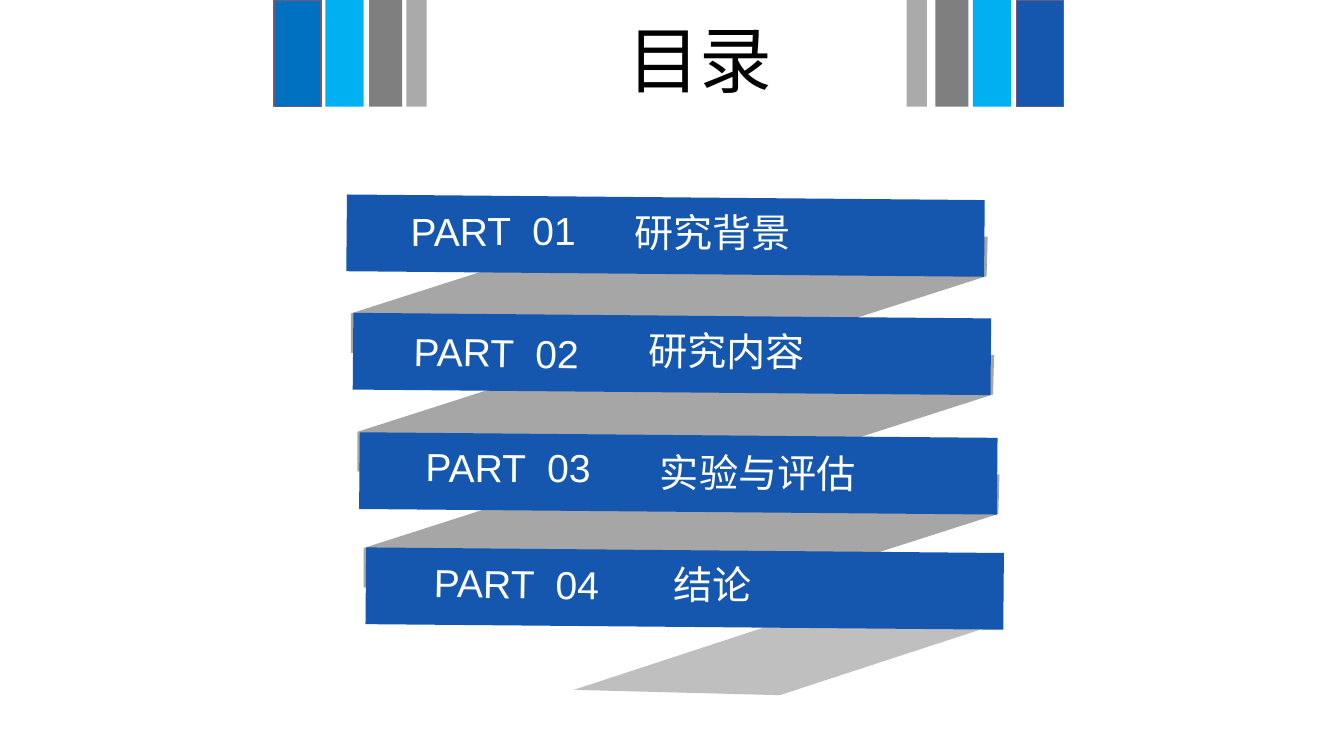
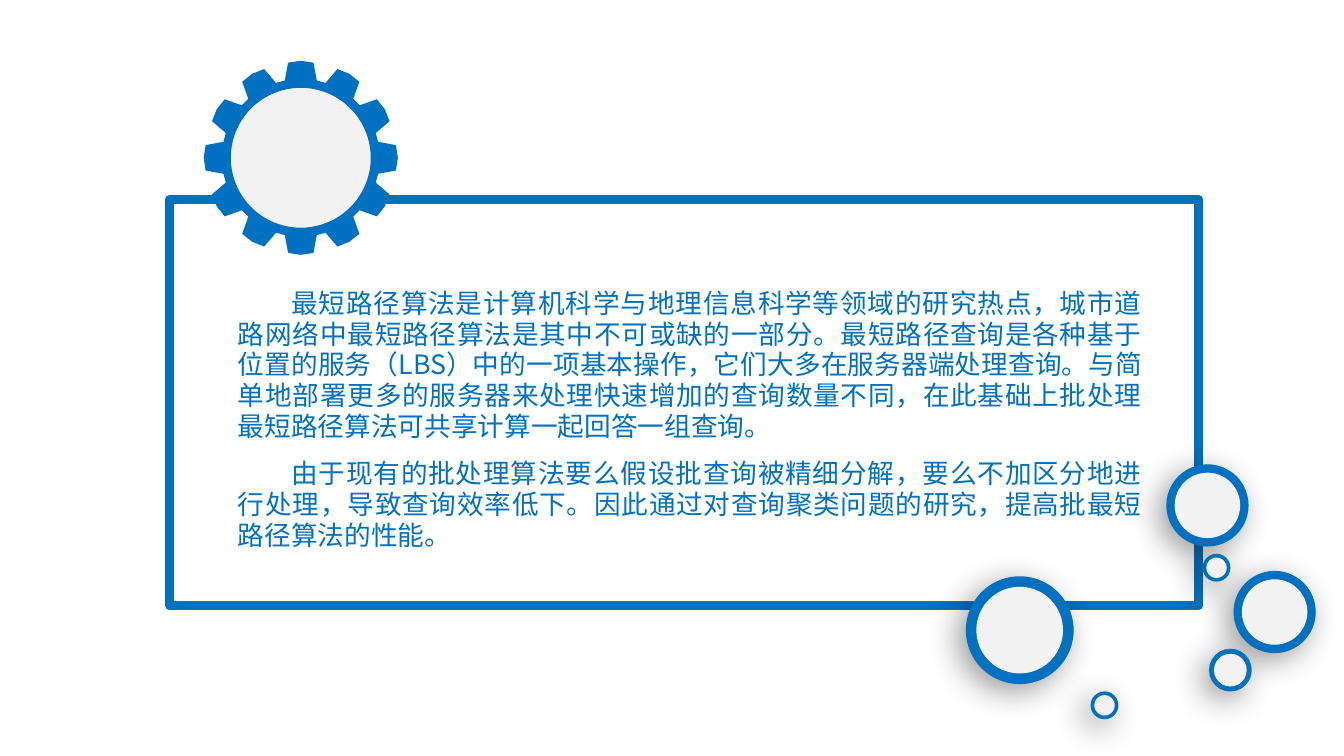
"""Build a contents slide and a research background slide."""
import math

from lxml import etree
from pptx import Presentation
from pptx import util as u
from pptx.dml.color import RGBColor
from pptx.enum import shapes, text
from pptx.oxml.ns import qn

CJK = "Noto Sans CJK SC"
LATIN = "Arial"
WHITE, BLACK, PALE = "FFFFFF", "000000", "F2F2F2"
BLUE, NAVY, SKY = "0070C0", "1557AE", "00B0F0"
GREY, SILVER, FOLD, TAIL = "7F7F7F", "AAAAAA", "A6A6A6", "BFBFBF"
MAUVE = "6C5B7B"

STRIPES = [
    (3.81, 8.5, 0.19, SILVER, SILVER, None),
    (3.46, 8.77, 0.31, GREY, GREY, None),
    (3.05, 9.12, 0.36, SKY, SKY, None),
    (2.57, 9.53, 0.44, BLUE, NAVY, MAUVE),
]
LEFT_FOLD = [(8.91, 2.21), (5.41, 3.33), (3.29, 3.31), (3.29, 2.94), (5.66, 2.18)]
RIGHT_FOLD = [(9.26, 2.22), (9.25, 2.59), (6.88, 3.35), (3.63, 3.32), (7.13, 2.2)]
FOLD_STEPS = [((0, 0), (0, 0)), ((0.06, 1.11), (0.06, 1.11)), ((0.12, 2.2), (0.11, 2.23))]
TAIL_FOLD = [(9.19, 5.22), (9.39, 5.84), (7.31, 6.52), (5.38, 6.47)]
PARTS = [
    (1.85, "PART  01", (3.75, 1.89), -0.4, "研究背景", (5.85, 1.91, 1.67), 0),
    (2.96, "PART  02", (3.78, 3.03), 0.9, "研究内容", (5.98, 3.02, 1.67), 0.5),
    (4.08, "PART  03", (3.89, 4.11), 0.4, "实验与评估", (6.09, 4.16, 2.2), 0.4),
    (5.16, "PART  04", (3.97, 5.2), 0.9, "结论", (6.22, 5.21, 0.94), 0.2),
]
BACKGROUND = [
    "最短路径算法是计算机科学与地理信息科学等领域的研究热点，城市道路网络中最短路径算法是其中不可或缺的一部分。"
    "最短路径查询是各种基于位置的服务（LBS）中的一项基本操作，它们大多在服务器端处理查询。"
    "与简单地部署更多的服务器来处理快速增加的查询数量不同，在此基础上批处理最短路径算法可共享计算一起回答一组查询。",
    "由于现有的批处理算法要么假设批查询被精细分解，要么不加区分地进行处理，导致查询效率低下。"
    "因此通过对查询聚类问题的研究，提高批最短路径算法的性能。",
]
BUBBLES = [
    (11.58, 5.37, 0.74), (11.35, 6.1, 0.37), (9.07, 5.42, 0.98),
    (10.24, 6.5, 0.23), (10.95, 4.37, 0.74), (11.29, 5.21, 0.23),
]


def rgb(colour):
    """Turn a hex string into a colour."""
    return RGBColor.from_string(colour)


def paint(shape, fill=None, line=None, width=1):
    """Set fill and line of a shape and take its shadow away."""
    shape.shadow.inherit = False
    if fill:
        shape.fill.solid()
        shape.fill.fore_color.rgb = rgb(fill)
    else:
        shape.fill.background()
    if line:
        shape.line.color.rgb = rgb(line)
        shape.line.width = u.Pt(width)
    else:
        shape.line.fill.background()
    return shape


def add_preset(slide, preset, box, fill=None, line=None, width=1):
    """Add a painted preset shape at left, top, width, height."""
    shape = slide.shapes.add_shape(preset, *map(u.Inches, box))
    return paint(shape, fill, line, width)


def add_outline(slide, points, fill):
    """Add a closed polygon through points given in inches."""
    corners = [(u.Inches(x), u.Inches(y)) for x, y in points]
    builder = slide.shapes.build_freeform(*corners[0])
    builder.add_line_segments(corners[1:], close=True)
    return paint(builder.convert_to_shape(), fill)


def style_runs(paragraph, size, font, colour):
    """Format every run of a paragraph, East Asian font included."""
    for run in paragraph.runs:
        run.font.size = u.Pt(size)
        run.font.color.rgb = rgb(colour)
        run.font.name = font
        etree.SubElement(run.font._element, qn("a:ea")).set("typeface", font)


def add_label(slide, wording, box, font, rotation):
    """Add a single white line of text on a bar."""
    label = slide.shapes.add_textbox(*map(u.Inches, box))
    label.rotation = rotation
    label.text_frame.word_wrap = False
    label.text_frame.text = wording
    style_runs(label.text_frame.paragraphs[0], 26.4, font, WHITE)


def set_title(slide, wording, box):
    """Place and format the title placeholder."""
    title = slide.shapes.title
    title.left, title.top, title.width, title.height = map(u.Inches, box)
    frame = title.text_frame
    frame.text = wording
    frame.word_wrap = False
    frame.auto_size = text.MSO_AUTO_SIZE.NONE
    frame.vertical_anchor = text.MSO_ANCHOR.MIDDLE
    frame.paragraphs[0].alignment = text.PP_ALIGN.CENTER
    style_runs(frame.paragraphs[0], 49.1, CJK, BLACK)


def add_stripes(slide):
    """Add the stripes on both sides of the title."""
    for left, right, width, left_fill, right_fill, edge in STRIPES:
        for x, fill in ((left, left_fill), (right, right_fill)):
            add_preset(slide, shapes.MSO_SHAPE.RECTANGLE, (x, 0, width, 1), fill, edge)


def add_ribbon(slide):
    """Add the folds, the bars and the labels of the contents ribbon."""
    add_outline(slide, TAIL_FOLD, TAIL)
    for steps in FOLD_STEPS:
        for fold, (dx, dy) in zip((LEFT_FOLD, RIGHT_FOLD), steps):
            add_outline(slide, [(x + dx, y + dy) for x, y in fold], FOLD)
    for index, (top, number, spot, tilt, topic, (x, y, width), topic_tilt) in enumerate(PARTS):
        box = (3.25 + 0.06 * index, top, 5.98, 0.72)
        bar = add_preset(slide, shapes.MSO_SHAPE.RECTANGLE, box, NAVY)
        bar.rotation = 0.5
        add_label(slide, topic, (x, y, width, 0.55), CJK, topic_tilt)
        add_label(slide, number, (*spot, 1.77, 0.55), LATIN, tilt)


def add_body(slide, paragraphs, box):
    """Add justified paragraphs with an indented first line."""
    body = slide.shapes.add_textbox(*map(u.Inches, box))
    frame = body.text_frame
    frame.word_wrap = True
    frame.margin_left = frame.margin_right = u.Inches(0.13)
    frame.margin_top = frame.margin_bottom = u.Inches(0.06)
    frame.text = "\n".join(paragraphs)
    for paragraph in frame.paragraphs:
        paragraph.alignment = text.PP_ALIGN.JUSTIFY
        paragraph.line_spacing = u.Pt(20.8)
        paragraph.space_after = u.Pt(11)
        paragraph._p.get_or_add_pPr().set("indent", str(u.Inches(0.5)))
        style_runs(paragraph, 18, CJK, BLUE)


def add_frame(slide, box):
    """Add the thick frame with rounded line joins."""
    frame = add_preset(slide, shapes.MSO_SHAPE.RECTANGLE, box, None, BLUE, 6)
    etree.SubElement(frame._element.spPr.find(qn("a:ln")), qn("a:round"))


def add_gear(slide, centre_x, centre_y, teeth=12):
    """Add a gear wheel with a pale disc in it."""
    profile = [(-11.7, 0.74), (-7.6, 0.9), (0, 0.91), (7.6, 0.9), (11.7, 0.74)]
    rim = []
    for tooth in range(teeth):
        for offset, radius in profile:
            angle = math.radians(360 / teeth * tooth + offset)
            rim.append((centre_x + radius * math.sin(angle), centre_y - radius * math.cos(angle)))
    add_outline(slide, rim, BLUE)
    disc = (centre_x - 0.67, centre_y - 0.67, 1.34, 1.34)
    add_preset(slide, shapes.MSO_SHAPE.OVAL, disc, PALE, BLUE, 2)


def cast_shadow(shape):
    """Give a shape a soft shadow towards the lower left."""
    effects = shape._element.spPr.find(qn("a:effectLst"))
    shadow = etree.SubElement(
        effects, qn("a:outerShdw"), blurRad=str(u.Pt(22)), dist=str(u.Pt(7)),
        dir=str(135 * 60000), algn="tr", rotWithShape="0")
    colour = etree.SubElement(shadow, qn("a:srgbClr"), val=BLACK)
    etree.SubElement(colour, qn("a:alpha"), val="40000")


def add_bubble(slide, left, top, size):
    """Add a ringed bubble with a shadow."""
    ring = add_preset(slide, shapes.MSO_SHAPE.OVAL, (left, top, size, size), BLUE, BLUE, 2.25)
    cast_shadow(ring)
    core = size * 0.83
    gap = (size - core) / 2
    add_preset(slide, shapes.MSO_SHAPE.OVAL, (left + gap, top + gap, core, core), PALE)


def main():
    """Build both slides and save them."""
    deck = Presentation()
    deck.slide_width, deck.slide_height = u.Inches(12.6), u.Inches(7.09)

    contents = deck.slides.add_slide(deck.slide_layouts[5])
    add_ribbon(contents)
    add_stripes(contents)
    set_title(contents, "目录", (5.77, 0.08, 1.58, 0.93))

    background = deck.slides.add_slide(deck.slide_layouts[6])
    add_frame(background, (1.59, 1.87, 9.65, 3.81))
    add_body(background, BACKGROUND, (2.1, 2.64, 8.74, 2.61))
    add_gear(background, 2.82, 1.48)
    for bubble in BUBBLES:
        add_bubble(background, *bubble)

    deck.save("out.pptx")


main()
